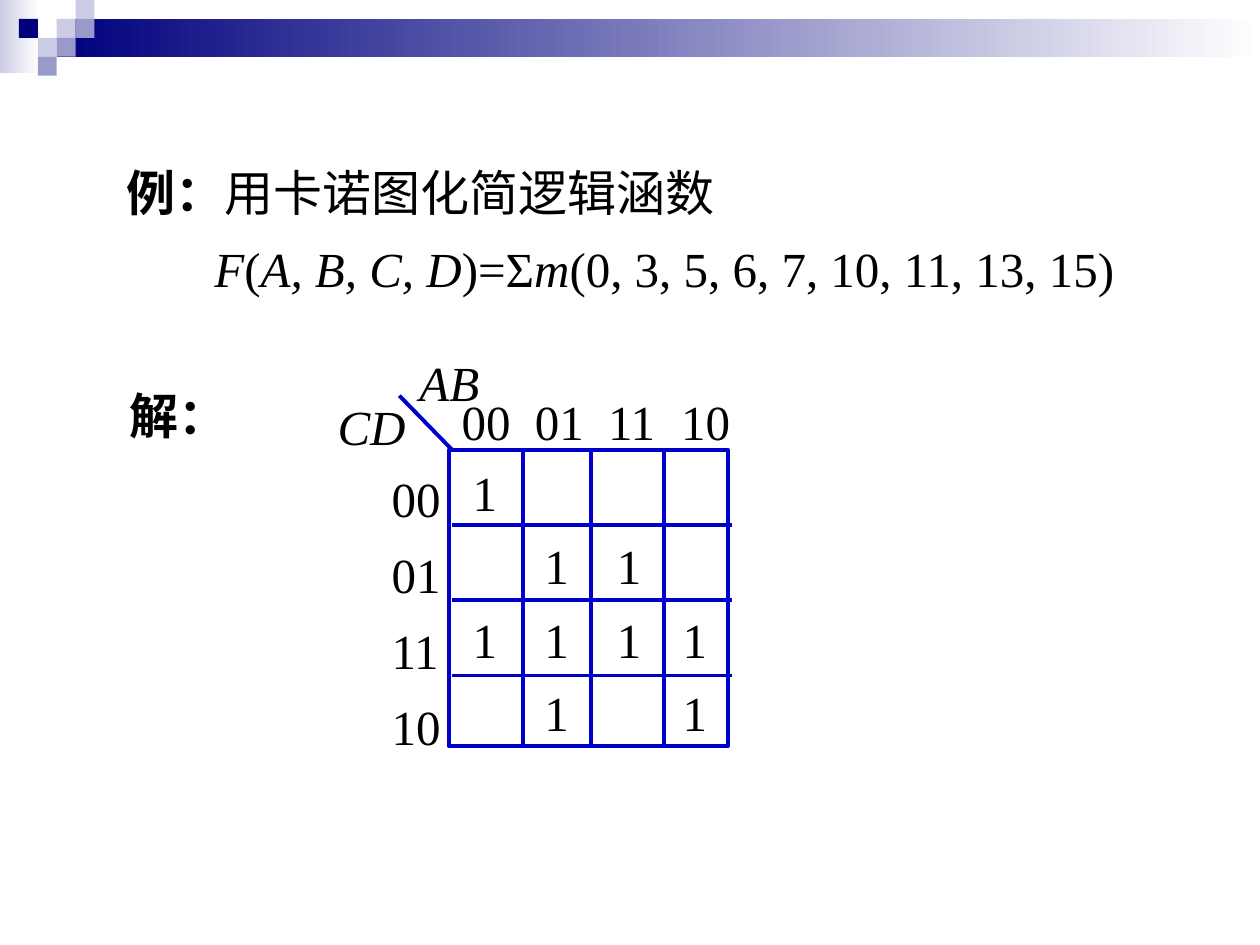
from lxml import etree
from pptx import Presentation
from pptx.dml.color import RGBColor
from pptx.enum import shapes, text
from pptx.oxml import ns
from pptx.util import Pt

BLACK = RGBColor(0x00, 0x00, 0x00)
WHITE = RGBColor(0xFF, 0xFF, 0xFF)
NAVY = RGBColor(0x00, 0x00, 0x7D)
LILAC = RGBColor(0x99, 0x99, 0xCC)
PALE = RGBColor(0xCC, 0xCC, 0xE6)
BLUE = RGBColor(0x00, 0x00, 0xCC)
FONT, SIZE = "Times New Roman", 28

# Header: gradient bars (left, top, width, height, start colour)
BARS = [(0, 0, 22.3, 41.8, PALE), (32.4, 10.8, 687.6, 21.6, NAVY)]
SQUARE = 10.8
# (column, row, colour) on a grid of small squares
SQUARES = [(3, 1, PALE), (4, 0, PALE), (4, 1, LILAC), (2, 2, PALE),
           (1, 1, NAVY), (3, 2, LILAC), (2, 3, LILAC)]

# Runs: (text, style), style being "b", "i" or ""
QUESTION = [("例：", "b"), ("用卡诺图化简逻辑涵数", "")]
FORMULA = [("F", "i"), ("(", ""), ("A, B, C, D", "i"), (")=Σ", ""), ("m", "i"),
           ("(0, 3, 5, 6, 7, 10, 11, 13, 15)", "")]
ANSWER = [("解：", "b")]

# Karnaugh map
GRAY_CODE = ["00", "01", "11", "10"]
MINTERMS = ["1...", ".11.", "1111", ".1.1"]
MAP_LEFT, MAP_TOP, MAP_WIDTH, MAP_HEIGHT = 256.3, 257, 159.8, 169.2
COLUMN_LINES = [298.8, 337.7, 379.4]
ROW_STEP = 43
ONE_LEFTS = [263, 304, 345.5, 383]
ONE_TOP, ONE_STEP = 260.5, 42
HEAD_TOP, HEAD_STEP = 220.3, 41.8
LABEL_PITCH = 43.4

deck = Presentation()
deck.slide_width, deck.slide_height = Pt(720), Pt(540)
page = deck.slides.add_slide(deck.slide_layouts[6])


def add_rectangle(left, top, width, height):
    box = page.shapes.add_shape(shapes.MSO_SHAPE.RECTANGLE,
                                Pt(left), Pt(top), Pt(width), Pt(height))
    box.shadow.inherit = False
    return box


def add_line(x1, y1, x2, y2):
    line = page.shapes.add_connector(shapes.MSO_CONNECTOR.STRAIGHT,
                                     Pt(x1), Pt(y1), Pt(x2), Pt(y2))
    line.line.color.rgb = BLUE
    line.line.width = Pt(2.25)
    etree.SubElement(line._element.spPr, ns.qn("a:effectLst"))


def add_text(left, top, width, height, paragraphs, wrap=False, spacing=None):
    """Add a text box; each paragraph is a list of (text, style) runs."""
    box = page.shapes.add_textbox(Pt(left), Pt(top), Pt(width), Pt(height))
    frame = box.text_frame
    frame.word_wrap = wrap
    frame.auto_size = text.MSO_AUTO_SIZE.NONE
    for index, runs in enumerate(paragraphs):
        para = frame.paragraphs[0] if index == 0 else frame.add_paragraph()
        para.font.name, para.font.size = FONT, Pt(SIZE)
        para.font.color.rgb = BLACK
        if spacing:
            para.line_spacing = spacing
        for words, style in runs:
            span = para.add_run()
            span.text = words
            span.font.bold = style == "b"
            span.font.italic = style == "i"
    return frame


# Header
for *place, colour in BARS:
    bar = add_rectangle(*place)
    bar.line.fill.background()
    bar.fill.gradient()
    bar.fill.gradient_angle = 0
    for stop, stop_colour, position in zip(bar.fill.gradient_stops, (colour, WHITE), (0, 1)):
        stop.color.rgb = stop_colour
        stop.position = position
for column, row, colour in SQUARES:
    square = add_rectangle(column * SQUARE, row * SQUARE, SQUARE, SQUARE)
    square.fill.solid()
    square.fill.fore_color.rgb = colour
    square.line.fill.background()

# Question and answer heading
question = add_text(65.5, 79.2, 583.2, 95, [QUESTION, FORMULA], wrap=True, spacing=1.3)
question.paragraphs[1]._p.get_or_add_pPr().set("marL", str(Pt(50)))
add_text(67, 216.7, 71.3, 41, [ANSWER])

# Map grid
grid = add_rectangle(MAP_LEFT, MAP_TOP, MAP_WIDTH, MAP_HEIGHT)
grid.fill.background()
grid.line.color.rgb = BLUE
grid.line.width = Pt(2.25)
for x in COLUMN_LINES:
    add_line(x, MAP_TOP, x, MAP_TOP + MAP_HEIGHT)
for row in (1, 2, 3):
    y = MAP_TOP + row * ROW_STEP
    add_line(MAP_LEFT + 2, y, MAP_LEFT + MAP_WIDTH + 2, y)
add_line(MAP_LEFT + 2, MAP_TOP, 228.2, 226.1)

# Map labels and ones
add_text(232.6, 198, 49, 41, [[("AB", "i")]])
add_text(185.8, 223.2, 53.3, 41, [[("CD", "i")]])
for column, code in enumerate(GRAY_CODE):
    add_text(MAP_LEFT + 0.5 + column * HEAD_STEP, HEAD_TOP, 42.4, 41, [[(code, "")]])
add_text(216.7, 254.4, 46.8, 182, [[(code, "")] for code in GRAY_CODE],
         spacing=Pt(LABEL_PITCH))
for row, cells in enumerate(MINTERMS):
    for left, cell in zip(ONE_LEFTS, cells):
        if cell == "1":
            add_text(left, ONE_TOP + row * ONE_STEP, 28.8, 41, [[(cell, "")]])

deck.save("out.pptx")
